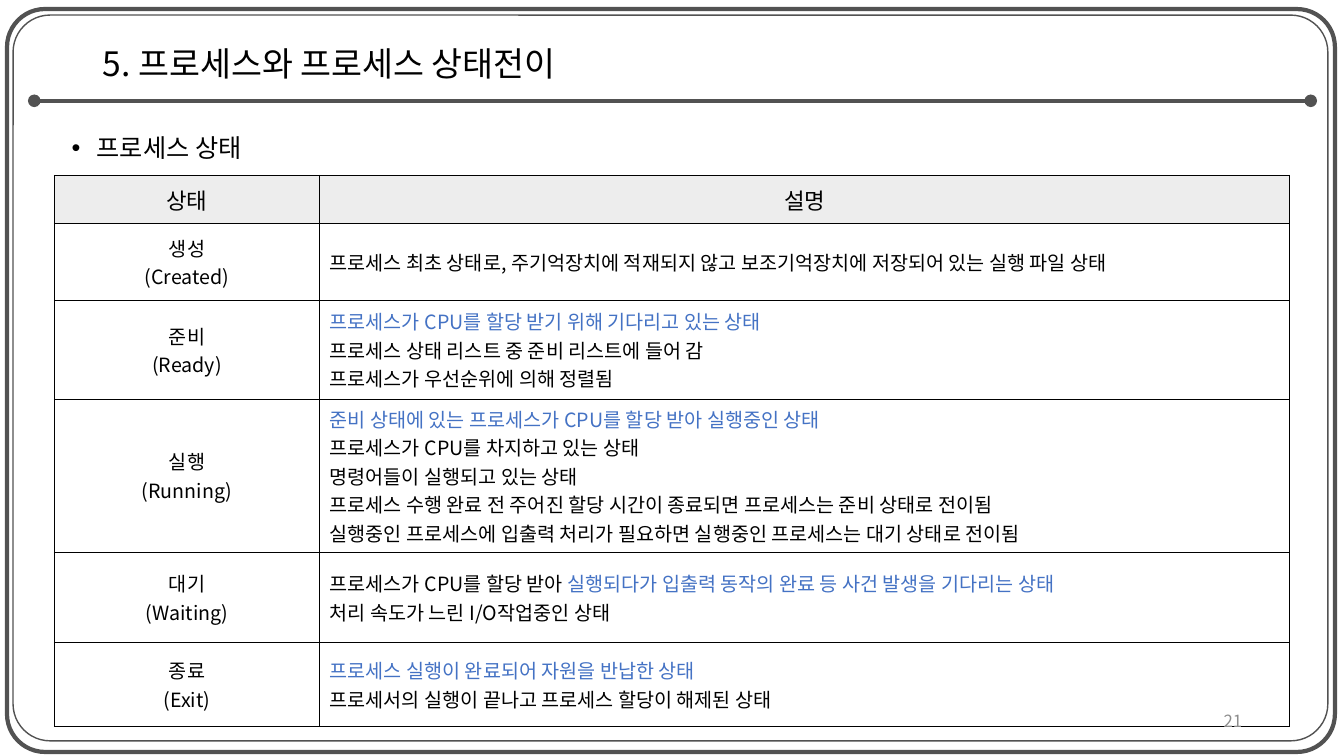
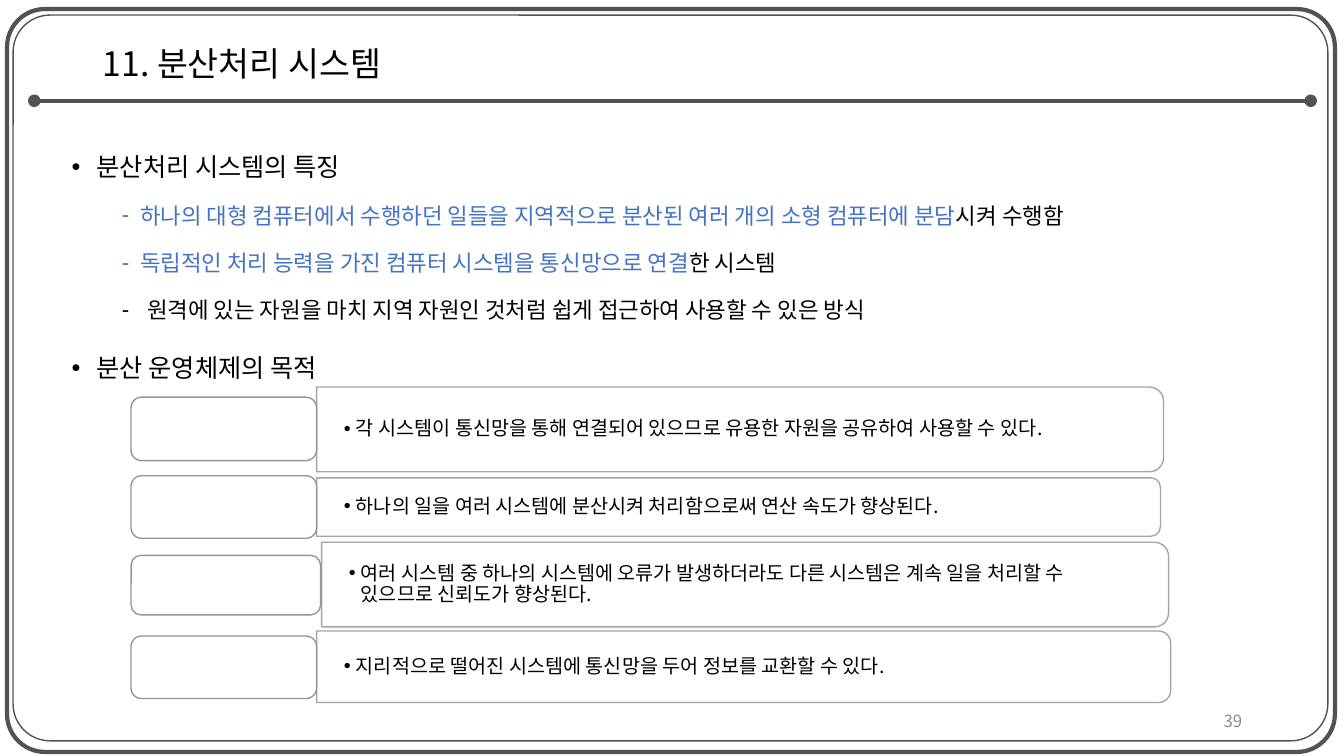
"""Builds two lecture slides on process states and distributed systems."""
import lxml.etree
import pptx
import pptx.dml.color
import pptx.enum.shapes
import pptx.enum.text
import pptx.oxml.ns
import pptx.util

Inches = pptx.util.Inches
Pt = pptx.util.Pt
SHAPE = pptx.enum.shapes.MSO_SHAPE
ALIGN = pptx.enum.text.PP_ALIGN
MIDDLE = pptx.enum.text.MSO_ANCHOR.MIDDLE
qn = pptx.oxml.ns.qn

COLORS = {
    "text": "000000",
    "accent": "4472C4",
    "frame": "525252",
    "header": "EDEDED",
    "panel_line": "A5A5A5",
    "label_line": "969696",
    "number": "8C8C8C",
    "white": "FFFFFF",
}
FONT = "Noto Sans CJK KR"


def rgb(name):
    return pptx.dml.color.RGBColor.from_string(COLORS[name])


def add_xml(parent, tag, **attributes):
    return lxml.etree.SubElement(parent, qn(tag), attributes)


class Deck:
    """Holds the shared style and the slide being built."""

    def __init__(self):
        self.presentation = pptx.Presentation()
        self.presentation.slide_width = Inches(13.33)
        self.presentation.slide_height = Inches(7.5)
        self.slide = None

    def add_slide(self, title):
        self.slide = self.presentation.slides.add_slide(self.presentation.slide_layouts[1])
        self.add_box(SHAPE.ROUNDED_RECTANGLE, (0.13, 0.15, 13.04, 7.2), "frame", 1, None, 0.051)
        self.add_box(SHAPE.ROUNDED_RECTANGLE, (0.07, 0.09, 13.17, 7.37), "frame", 3, None, 0.051)
        self.add_rule(0.34, 13, 1)
        shape = self.slide.shapes.title
        self.place(shape, (0.92, 0.3, 11.5, 0.7))
        shape.text_frame.vertical_anchor = MIDDLE
        paragraph = shape.text_frame.paragraphs[0]
        paragraph.alignment = ALIGN.LEFT
        paragraph.line_spacing = 0.9
        self.add_runs(paragraph, title, 24)

    def place(self, shape, area):
        shape.left, shape.top, shape.width, shape.height = map(Inches, area)
        shape.text_frame.word_wrap = True
        shape.text_frame.auto_size = pptx.enum.text.MSO_AUTO_SIZE.NONE

    def add_runs(self, paragraph, pieces, size, color="text"):
        if isinstance(pieces, str):
            pieces = [(pieces, color)]
        for text, piece_color in pieces:
            run = paragraph.add_run()
            run.text = text
            run.font.size = Pt(size)
            run.font.color.rgb = rgb(piece_color)
            run.font.name = FONT
            add_xml(run.font._element, "a:ea", typeface=FONT)

    def set_bullet(self, paragraph, character, margin, hanging):
        properties = paragraph._p.get_or_add_pPr()
        properties.set("marL", str(Inches(margin)))
        properties.set("indent", str(-Inches(hanging)))
        add_xml(properties, "a:buFont", typeface="Arial")
        add_xml(properties, "a:buChar", char=character)

    def add_box(self, kind, area, line, width, fill="white", corner=None):
        shape = self.slide.shapes.add_shape(kind, *map(Inches, area))
        shape.shadow.inherit = False
        shape.line.color.rgb = rgb(line)
        shape.line.width = Pt(width)
        if fill:
            shape.fill.solid()
            shape.fill.fore_color.rgb = rgb(fill)
        else:
            shape.fill.background()
        if corner:
            shape.adjustments[0] = corner
        return shape

    def add_rule(self, left, right, top):
        connector = self.slide.shapes.add_connector(
            pptx.enum.shapes.MSO_CONNECTOR.STRAIGHT,
            Inches(left), Inches(top), Inches(right), Inches(top))
        connector.line.color.rgb = rgb("frame")
        connector.line.width = Pt(3)
        line = connector._element.spPr.find(qn("a:ln"))
        add_xml(line, "a:headEnd", type="oval")
        add_xml(line, "a:tailEnd", type="oval")
        add_xml(connector._element.spPr, "a:effectLst")

    def add_list(self, height, line_spacing, items):
        shape = self.slide.placeholders[1]
        self.place(shape, (0.61, 1.3, 12.11, height))
        for index, (level, hanging, pieces) in enumerate(items):
            frame = shape.text_frame
            paragraph = frame.add_paragraph() if index else frame.paragraphs[0]
            paragraph.level = level
            paragraph.line_spacing = line_spacing
            paragraph.space_before = Pt((5 if level else 10) if index else 0)
            self.set_bullet(paragraph, "-" if level else "•", 0.5 * level + hanging, hanging)
            self.add_runs(paragraph, pieces, 16 if level else 18)

    def add_table(self, left, top, widths, heights, rows):
        table = self.slide.shapes.add_table(
            len(heights), len(widths), Inches(left), Inches(top),
            Inches(sum(widths)), Inches(sum(heights))).table
        table.first_row = table.horz_banding = False
        for column, width in zip(table.columns, widths):
            column.width = Inches(width)
        for row, height in zip(table.rows, heights):
            row.height = Inches(height)
        for row_index, row in enumerate(rows):
            for column_index, lines in enumerate(row):
                cell = table.cell(row_index, column_index)
                self.fill_cell(cell, lines, row_index == 0, column_index == 0)

    def fill_cell(self, cell, lines, is_header, is_label):
        cell.vertical_anchor = MIDDLE
        for side in "LRTB":
            border = add_xml(cell._tc.get_or_add_tcPr(), "a:ln" + side, w=str(Pt(1)))
            fill = add_xml(border, "a:solidFill")
            add_xml(fill, "a:srgbClr", val=COLORS["text"])
        if is_header:
            cell.fill.solid()
            cell.fill.fore_color.rgb = rgb("header")
        else:
            cell.fill.background()
        for index, pieces in enumerate(lines):
            frame = cell.text_frame
            paragraph = frame.add_paragraph() if index else frame.paragraphs[0]
            paragraph.alignment = ALIGN.CENTER if is_header or is_label else ALIGN.LEFT
            self.add_runs(paragraph, pieces, 16 if is_header else 14)

    def add_text_box(self, area):
        shape = self.slide.shapes.add_textbox(0, 0, 0, 0)
        self.place(shape, area)
        shape.text_frame.vertical_anchor = MIDDLE
        return shape.text_frame

    def add_purpose(self, label_area, panel_area, text):
        left, top, width, height = panel_area
        turned = (left + (width - height) / 2, top + (height - width) / 2, height, width)
        panel = self.add_box(SHAPE.ROUND_2_SAME_RECTANGLE, turned, "panel_line", 1)
        panel.rotation = 90
        frame = self.add_text_box(panel_area)
        frame.margin_left = frame.margin_right = Inches(0.27)
        frame.margin_top = frame.margin_bottom = Inches(0.14)
        paragraph = frame.paragraphs[0]
        paragraph.line_spacing = 0.9
        self.set_bullet(paragraph, "•", 0.12, 0.12)
        self.add_runs(paragraph, text, 14)
        self.add_box(SHAPE.ROUNDED_RECTANGLE, label_area, "label_line", 1)

    def add_number(self, number):
        paragraph = self.add_text_box((9.42, 6.95, 3, 0.4)).paragraphs[0]
        paragraph.alignment = ALIGN.RIGHT
        self.add_runs(paragraph, number, 12, "number")


def accent(text):
    return [(text, "accent")]


STATES = [
    (["상태"], ["설명"]),
    (["생성", "(Created)"],
     ["프로세스 최초 상태로, 주기억장치에 적재되지 않고 보조기억장치에 저장되어 있는 실행 파일 상태"]),
    (["준비", "(Ready)"],
     [accent("프로세스가 CPU를 할당 받기 위해 기다리고 있는 상태"),
      "프로세스 상태 리스트 중 준비 리스트에 들어 감",
      "프로세스가 우선순위에 의해 정렬됨"]),
    (["실행", "(Running)"],
     [accent("준비 상태에 있는 프로세스가 CPU를 할당 받아 실행중인 상태"),
      "프로세스가 CPU를 차지하고 있는 상태",
      "명령어들이 실행되고 있는 상태",
      "프로세스 수행 완료 전 주어진 할당 시간이 종료되면 프로세스는 준비 상태로 전이됨",
      "실행중인 프로세스에 입출력 처리가 필요하면 실행중인 프로세스는 대기 상태로 전이됨"]),
    (["대기", "(Waiting)"],
     [[("프로세스가 CPU를 할당 받아 ", "text"),
       ("실행되다가 입출력 동작의 완료 등 사건 발생을 기다리는 상태", "accent")],
      "처리 속도가 느린 I/O작업중인 상태"]),
    (["종료", "(Exit)"],
     [accent("프로세스 실행이 완료되어 자원을 반납한 상태"),
      "프로세서의 실행이 끝나고 프로세스 할당이 해제된 상태"]),
]

FEATURES = [
    (0, 0.25, "분산처리 시스템의 특징"),
    (1, 0.18, [("하나의 대형 컴퓨터에서 수행하던 일들을 지역적으로 분산된 여러 개의 소형 컴퓨터에 분담", "accent"),
               ("시켜 수행함", "text")]),
    (1, 0.18, [("독립적인 처리 능력을 가진 컴퓨터 시스템을 통신망으로 연결", "accent"),
               ("한 시스템", "text")]),
    (1, 0.25, "원격에 있는 자원을 마치 지역 자원인 것처럼 쉽게 접근하여 사용할 수 있은 방식"),
    (0, 0.25, "분산 운영체제의 목적"),
]

PURPOSES = [
    ((1.3, 3.94, 1.84, 0.63), (3.14, 3.84, 8.4, 0.84),
     "각 시스템이 통신망을 통해 연결되어 있으므로 유용한 자원을 공유하여 사용할 수 있다."),
    ((1.3, 4.72, 1.84, 0.62), (3.14, 4.74, 8.37, 0.58),
     "하나의 일을 여러 시스템에 분산시켜 처리함으로써 연산 속도가 향상된다."),
    ((1.3, 5.51, 1.88, 0.59), (3.19, 5.38, 8.4, 0.84),
     "여러 시스템 중 하나의 시스템에 오류가 발생하더라도 다른 시스템은 계속 일을 처리할 수 있으므로 신뢰도가 향상된다."),
    ((1.3, 6.31, 1.84, 0.62), (3.14, 6.26, 8.47, 0.71),
     "지리적으로 떨어진 시스템에 통신망을 두어 정보를 교환할 수 있다."),
]


def main():
    deck = Deck()

    deck.add_slide("5. 프로세스와 프로세스 상태전이")
    deck.add_list(5.46, 0.9, [(0, 0.25, "프로세스 상태")])
    deck.add_table(0.54, 1.74, [2.63, 9.62], [0.48, 0.76, 0.98, 1.44, 0.9, 0.83], STATES)
    deck.add_number("21")

    deck.add_slide("11. 분산처리 시스템")
    deck.add_list(5.68, 1.5, FEATURES)
    for purpose in PURPOSES:
        deck.add_purpose(*purpose)
    deck.add_number("39")

    deck.presentation.save("out.pptx")


if __name__ == "__main__":
    main()
